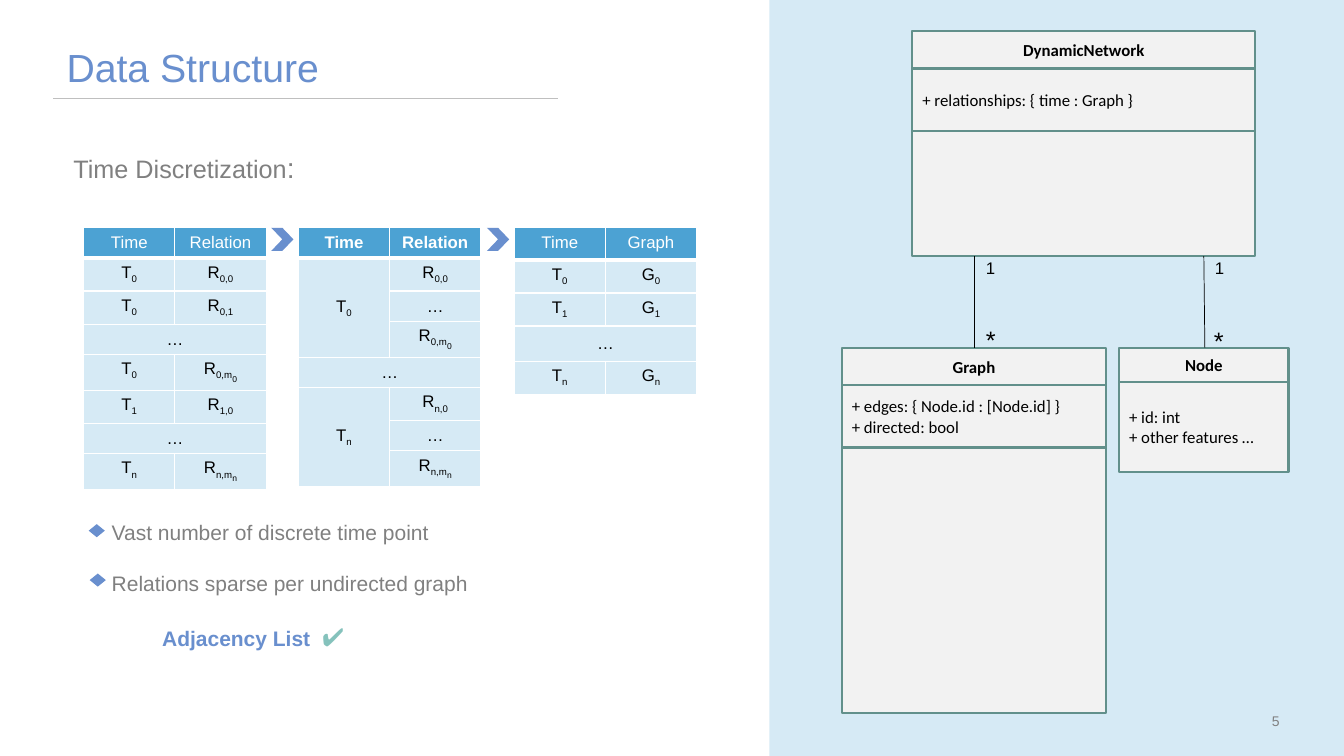
from dataclasses import dataclass

from lxml import etree
from pptx import Presentation
from pptx.dml.color import RGBColor
from pptx.enum.shapes import MSO_CONNECTOR, MSO_SHAPE
from pptx.enum.text import MSO_ANCHOR, MSO_AUTO_SIZE, PP_ALIGN
from pptx.oxml.ns import qn
from pptx.util import Inches, Pt

RECT, CHEVRON, DIAMOND = MSO_SHAPE.RECTANGLE, MSO_SHAPE.CHEVRON, MSO_SHAPE.DIAMOND
STRAIGHT = MSO_CONNECTOR.STRAIGHT
LEFT, CENTER, RIGHT = PP_ALIGN.LEFT, PP_ALIGN.CENTER, PP_ALIGN.RIGHT
MIDDLE, BOTTOM = MSO_ANCHOR.MIDDLE, MSO_ANCHOR.BOTTOM
NO_FIT = MSO_AUTO_SIZE.NONE

WHITE = RGBColor(0xFF, 0xFF, 0xFF)
BLACK = RGBColor(0, 0, 0)
GREY = RGBColor(0x80, 0x80, 0x80)
RULE = RGBColor(0xBF, 0xBF, 0xBF)
PALE = RGBColor(0xD6, 0xEA, 0xF5)
HEAD = RGBColor(0x4C, 0xA2, 0xD3)
BLUE = RGBColor(0x69, 0x8F, 0xCE)
MINT = RGBColor(0x85, 0xC2, 0xBC)
PAPER = RGBColor(0xF2, 0xF2, 0xF2)
TEAL = RGBColor(0x62, 0x90, 0x8B)

DOTS = "…"
SUBS = ((12, 0), (12, -25), (10.5, -50))  # size and baseline per subscript level


@dataclass
class Grid:
    left: float
    heights: list[float]
    rows: list[tuple]  # None continues the cell above or to the left
    bold: bool = False


@dataclass
class Box:
    left: float
    top: float
    width: float
    bands: list[tuple[float, str]]  # height and text; the first band is the name


@dataclass
class Link:
    start: float
    end: float
    many: float  # top of the star
    label: float
    star: float


GRIDS = [
    Grid(0.83, [0.29, 0.29, 0.29, 0.19, 0.29, 0.29, 0.2, 0.29],
         [("Time", "Relation"), ("T_0", "R_0,0"), ("T_0", "R_0,1"), (DOTS, None),
          ("T_0", "R_0,m_0"), ("T_1", "R_1,0"), (DOTS, None), ("T_n", "R_n,m_n")]),
    Grid(2.96, [0.21, 0.21, 0.2, 0.21, 0.23, 0.21, 0.19, 0.21],
         [("Time", "Relation"), ("T_0", "R_0,0"), (None, DOTS), (None, "R_0,m_0"),
          (DOTS, None), ("T_n", "R_n,0"), (None, DOTS), (None, "R_n,m_n")], True),
    Grid(5.1, [0.32, 0.32, 0.32, 0.35, 0.32],
         [("Time", "Graph"), ("T_0", "G_0"), ("T_1", "G_1"), (DOTS, None),
          ("T_n", "G_n")]),
]
BOXES = [
    Box(9.05, 0.31, 3.4, [(0.37, "DynamicNetwork"),
                          (0.62, "+ relationships: { time : Graph }"), (1.24, "")]),
    Box(8.35, 3.45, 2.62, [(0.37, "Graph"),
                           (0.62, "+ edges: { Node.id : [Node.id] }\n+ directed: bool"),
                           (2.63, "")]),
    Box(11.1, 3.45, 1.68, [(0.34, "Node"), (0.89, "+ id: int\n+ other features …")]),
]
LINKS = [Link(9.66, 9.66, 3.17, 9.68, 9.68), Link(11.94, 11.95, 3.18, 11.95, 11.94)]


def style(run, size: float, color: RGBColor, bold: bool = False, face: str = "Arial") -> None:
    font = run.font
    font.size, font.bold, font.name = Pt(size), bold, face
    font.color.rgb = color


def write(para, text: str, size: float, color: RGBColor, bold: bool = False) -> None:
    run = para.add_run()
    run.text = text
    style(run, size, color, bold)


def add_shape(slide, kind, left: float, top: float, width: float, height: float, fill: RGBColor):
    shape = slide.shapes.add_shape(kind, Inches(left), Inches(top), Inches(width), Inches(height))
    shape.shadow.inherit = False
    shape.fill.solid()
    shape.fill.fore_color.rgb = fill
    shape.line.fill.background()
    return shape


def add_text(slide, left: float, top: float, width: float, height: float, wrap: bool = True):
    box = slide.shapes.add_textbox(Inches(left), Inches(top), Inches(width), Inches(height))
    box.text_frame.word_wrap = wrap
    return box.text_frame


def add_line(slide, x1: float, y1: float, x2: float, y2: float, color: RGBColor,
             width: float) -> None:
    line = slide.shapes.add_connector(STRAIGHT, Inches(x1), Inches(y1), Inches(x2), Inches(y2))
    line.line.color.rgb = color
    line.line.width = Pt(width)
    etree.SubElement(line._element.spPr, qn("a:effectLst"))


def fill_cell(cell, text: str | None, head: bool, bold: bool) -> None:
    props = cell._tc.get_or_add_tcPr()
    for side in "LRTB":
        width = Pt(3 if head and side == "B" else 1)
        edge = etree.SubElement(props, qn(f"a:ln{side}"), w=str(int(width)))
        paint = etree.SubElement(edge, qn("a:solidFill"))
        etree.SubElement(paint, qn("a:srgbClr"), val=str(WHITE))
    cell.fill.solid()
    cell.fill.fore_color.rgb = HEAD if head else PALE
    if text is None:
        return
    para = cell.text_frame.paragraphs[0]
    para.alignment = CENTER
    for piece, (size, base) in zip(text.split("_"), SUBS):
        write(para, piece, size, WHITE if head else BLACK, head and bold)
        if base:
            para.runs[-1]._r.get_or_add_rPr().set("baseline", str(base * 1000))
    if text == DOTS:
        props.set("vert", "eaVert")
    if text == DOTS or cell.is_merge_origin:
        cell.vertical_anchor = MIDDLE


def add_grid(slide, grid: Grid) -> None:
    rows = grid.rows
    table = slide.shapes.add_table(len(rows), 2, Inches(grid.left), Inches(2.26), Inches(1.81),
                                   Inches(sum(grid.heights))).table
    table.horz_banding = False
    for r, (height, (first, second)) in enumerate(zip(grid.heights, rows)):
        table.rows[r].height = Inches(height)
        if first is None:
            continue
        last = r
        while last + 1 < len(rows) and rows[last + 1][0] is None:
            last += 1
        right = int(second is None)
        if last > r or right:
            table.cell(r, 0).merge(table.cell(last, right))
    for r, row in enumerate(rows):
        for c, text in enumerate(row):
            fill_cell(table.cell(r, c), text, r == 0, grid.bold)


def add_box(slide, box: Box) -> None:
    top = box.top
    for i, (height, text) in enumerate(box.bands):
        band = add_shape(slide, RECT, box.left, top, box.width, height, PAPER)
        band.line.color.rgb = TEAL
        band.line.width = Pt(1.5)
        frame = band.text_frame
        frame.text = text
        frame.vertical_anchor = MIDDLE
        for para in frame.paragraphs:
            para.alignment = LEFT if i else CENTER
            for run in para.runs:
                style(run, 12, BLACK, i == 0, "Calibri")
        top += height


def add_link(slide, link: Link) -> None:
    add_line(slide, link.end, 3.45, link.start, 2.54, BLACK, 0.5)
    one = add_text(slide, link.label, 2.51, 0.39, 0.24, False)
    write(one.paragraphs[0], "1", 12, BLACK)
    star = add_text(slide, link.star, link.many, 0.44, 0.32, False)
    write(star.paragraphs[0], "*", 18, BLACK)


def main() -> None:
    deck = Presentation()
    deck.slide_width, deck.slide_height = Inches(13.33), Inches(7.5)
    slide = deck.slides.add_slide(deck.slide_layouts[5])

    # Side panel and page number
    add_shape(slide, RECT, 7.63, 0, 5.7, 7.5, PALE)
    page = add_text(slide, 9.61, 7.04, 3.18, 0.23)
    page.vertical_anchor = MIDDLE
    page.paragraphs[0].alignment = RIGHT
    write(page.paragraphs[0], "5", 10, GREY)

    # Title and rule
    title = slide.shapes.title
    title.left, title.top = Inches(0.56), Inches(0.62)
    title.width, title.height = Inches(4.33), Inches(0.33)
    frame = title.text_frame
    frame.text = "Data Structure"
    frame.word_wrap, frame.auto_size, frame.vertical_anchor = False, NO_FIT, BOTTOM
    frame.paragraphs[0].alignment = LEFT
    style(frame.paragraphs[0].runs[0], 28, BLUE)
    add_line(slide, 5.53, 0.97, 0.53, 0.97, RULE, 0.25)

    # Time tables and the arrows between them
    topic = add_text(slide, 0.63, 1.44, 4.51, 0.98).paragraphs[0]
    write(topic, "Time Discretization", 18, GREY)
    write(topic, ":", 20, GREY)
    for grid in GRIDS:
        add_grid(slide, grid)
    for left in (2.69, 4.83):
        add_shape(slide, CHEVRON, left, 2.26, 0.22, 0.23, BLUE)

    # Class diagram
    for box in BOXES:
        add_box(slide, box)
    for link in LINKS:
        add_link(slide, link)

    # Findings
    notes = add_text(slide, 1.01, 4.75, 5.7, 2.13)
    notes.margin_top = Inches(0.4)
    write(notes.paragraphs[0], "Vast number of discrete time point", 15, GREY)
    sparse, choice = notes.add_paragraph(), notes.add_paragraph()
    sparse.space_before = choice.space_before = Pt(18.5)
    write(sparse, "Relations sparse per undirected graph", 15, GREY)
    write(choice, "\t", 15, GREY)
    write(choice, "Adjacency List  ", 15, BLUE, True)
    write(choice, "✔", 18, MINT)
    for left, top in ((0.88, 5.2), (0.89, 5.69)):
        add_shape(slide, DIAMOND, left, top, 0.16, 0.13, BLUE)

    deck.save("out.pptx")


if __name__ == "__main__":
    main()
